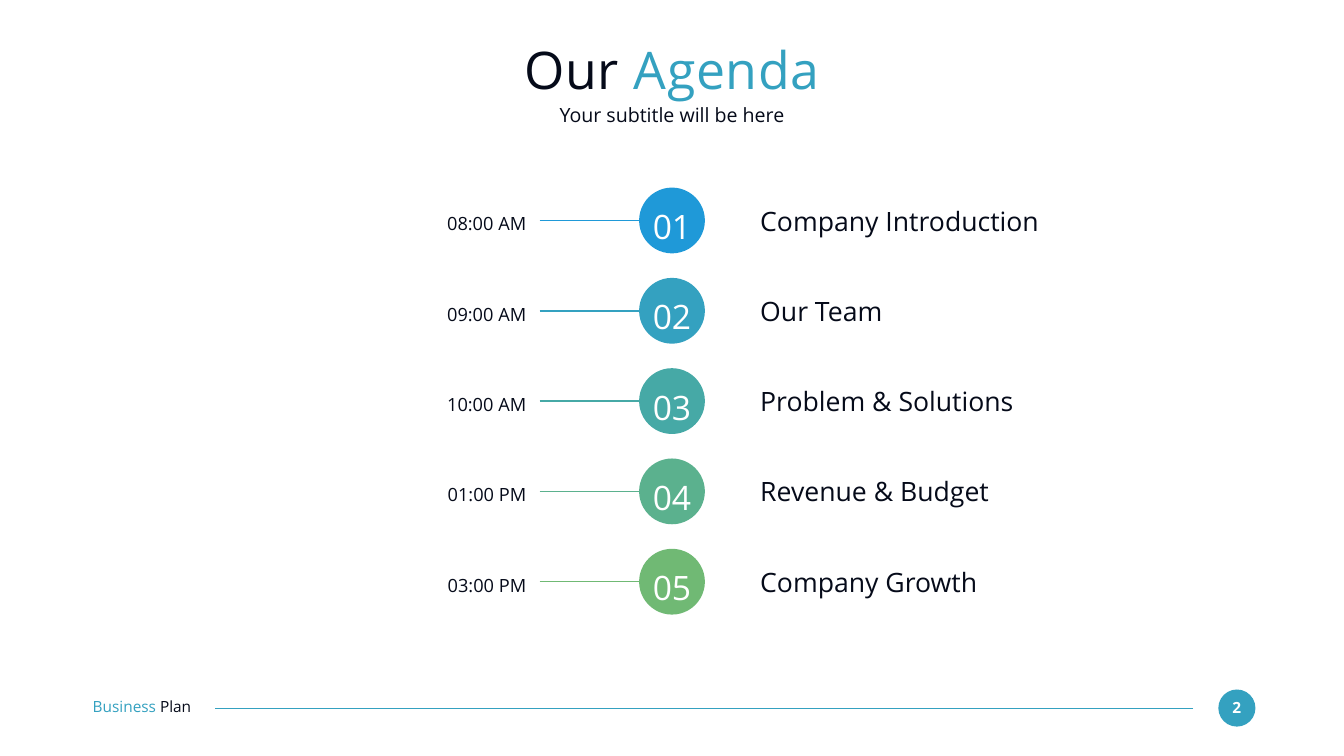
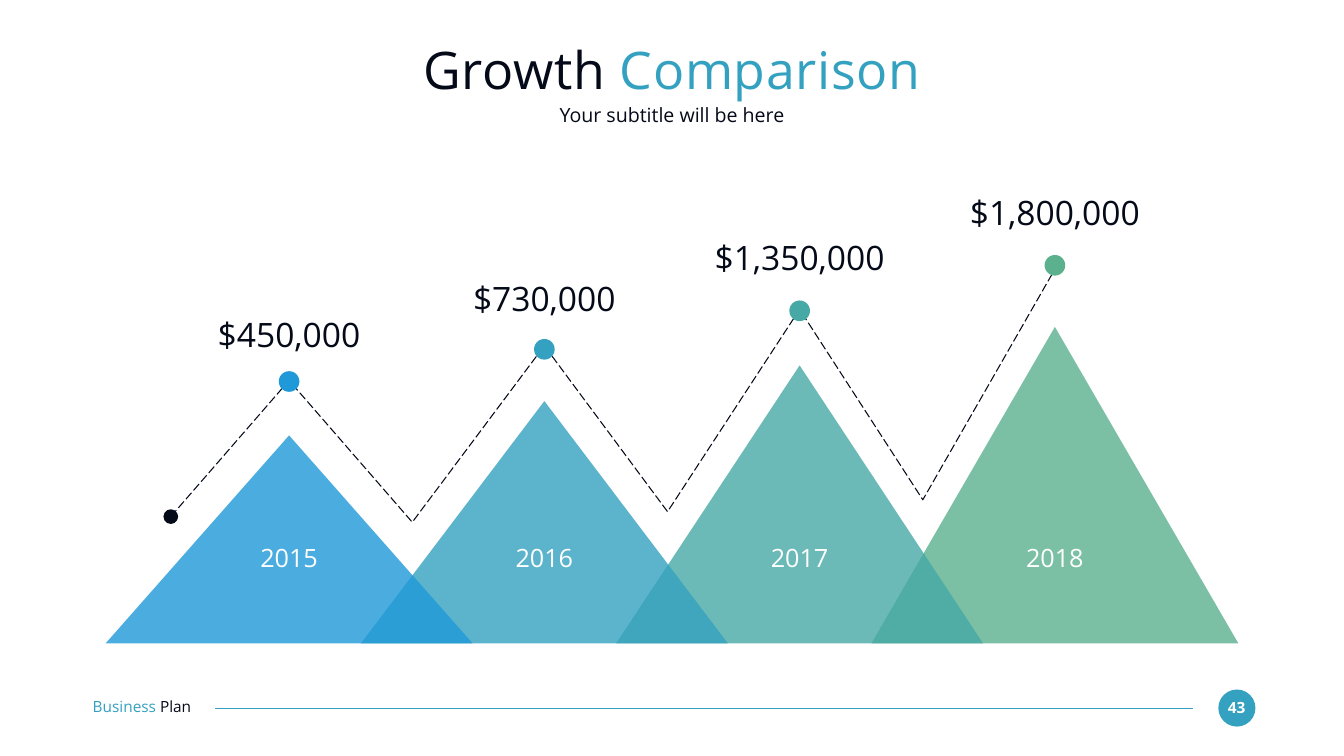
from pptx import Presentation
from pptx.dml.color import RGBColor
from pptx.enum.dml import MSO_LINE
from pptx.enum.shapes import MSO_CONNECTOR, MSO_SHAPE
from pptx.enum.text import MSO_ANCHOR, MSO_AUTO_SIZE, PP_ALIGN
from pptx.util import Pt
from lxml import etree

OVAL, PEAK = MSO_SHAPE.OVAL, MSO_SHAPE.ISOSCELES_TRIANGLE
LINE, DASH = MSO_CONNECTOR.STRAIGHT, MSO_LINE.LONG_DASH
LEFT, MID, RIGHT = PP_ALIGN.LEFT, PP_ALIGN.CENTER, PP_ALIGN.RIGHT
TOP, CENTER = MSO_ANCHOR.TOP, MSO_ANCHOR.MIDDLE
NO_FIT = MSO_AUTO_SIZE.NONE

FONT = "Open Sans"
COLORS = {
    "ink": "050A19", "white": "FFFFFF", "blue": "1F99D8", "teal": "34A1C0",
    "sea": "46A9A6", "mint": "5BB18E", "green": "70B974",
}
RAMP = ["blue", "teal", "sea", "mint", "green"]
WIDE, HIGH = 1920, 1080
TITLE_BOX = (132, 52.5, 1656, 91.5)
SUB_BOX = (132, 146, 1656, 35.5)
FOOT_BOX = (132.5, 985, 1661, 53)
AGENDA_BOX = (497, 268, 1042, 610)
PEAKS_BOX = (151, 274, 1618, 645)

ITEMS = [
    ("08:00 AM", "Company Introduction"),
    ("09:00 AM", "Our Team"),
    ("10:00 AM", "Problem & Solutions"),
    ("01:00 PM", "Revenue & Budget"),
    ("03:00 PM", "Company Growth"),
]
# Year, amount, triangle height, then heights above the base:
# dot middle, top of the amount, dashed peak
YEARS = [
    ("2015", "$450,000", 297, 374, 470, 375.5),
    ("2016", "$730,000", 346, 420, 522, 425),
    ("2017", "$1,350,000", 397, 475, 580.5, 477),
    ("2018", "$1,800,000", 452, 540, 645, 534.5),
]
DIPS = [173, 188, 205]


def rgb(name):
    return RGBColor.from_string(COLORS[name])


def fill_text(frame, parts, size, align, anchor=TOP, bold=False, space=None):
    """Write (text, colour) parts as the runs of one paragraph."""
    frame.margin_left = frame.margin_right = 0
    frame.margin_top = frame.margin_bottom = 0
    frame.word_wrap = True
    frame.auto_size = NO_FIT
    frame.vertical_anchor = anchor
    para = frame.paragraphs[0]
    para.text = parts[0][0]
    for text, _ in parts[1:]:
        para.add_run().text = text
    para.alignment = align
    para.line_spacing = space
    for run, (_, color) in zip(para.runs, parts):
        run.font.name = FONT
        run.font.size = Pt(size)
        run.font.bold = bold
        run.font.color.rgb = rgb(color)
    return para


def add_text(slide, box, parts, size, align=MID, **style):
    label = slide.shapes.add_textbox(*map(Pt, box))
    fill_text(label.text_frame, parts, size, align, **style)


def add_shape(slide, kind, box, color, alpha=None):
    shape = slide.shapes.add_shape(kind, *map(Pt, box))
    shape.shadow.inherit = False
    shape.fill.solid()
    shape.fill.fore_color.rgb = rgb(color)
    shape.line.fill.background()
    if alpha:
        tint = shape.fill._xPr.find(".//{*}srgbClr")
        etree.SubElement(tint, tint.tag.replace("srgbClr", "alpha"),
                         val=str(alpha * 1000))


def add_dot(slide, x, y, size, color):
    add_shape(slide, OVAL, (x - size / 2, y - size / 2, size, size), color)


def add_line(slide, start, end, color, width):
    line = slide.shapes.add_connector(LINE, *map(Pt, start + end))
    line.line.color.rgb = rgb(color)
    line.line.width = Pt(width)
    props = line._element.spPr
    etree.SubElement(props, props.find("{*}ln").tag[:-2] + "effectLst")


def add_head(slide, first, second):
    # Title in two colours
    title = slide.shapes.title
    title.left, title.top, title.width, title.height = map(Pt, TITLE_BOX)
    para = fill_text(title.text_frame, [(first + " ", "ink"), (second, "teal")],
                     74, MID, anchor=CENTER)
    for run in para.runs:
        run.font._element.set("spc", "100")
    # Subtitle
    add_text(slide, SUB_BOX, [("Your subtitle will be here", "ink")], 28,
             anchor=CENTER)


def add_foot(slide, box, number):
    x, y, w, h = box
    mid = y + h / 2
    # Page number in its disc
    add_dot(slide, x + w - h / 2, mid, h, "teal")
    add_text(slide, (x + w - 48, y + 12, 42.5, 26.5), [(number, "white")], 22,
             bold=True)
    # Rule and name
    add_line(slide, (x + w - 89, mid), (x + 175, mid), "teal", 1.5)
    add_text(slide, (x, y + 11.5, 186.5, 26.5),
             [("Business ", "teal"), ("Plan", "ink")], 22, LEFT)


def add_agenda(slide, box):
    x, y, w, h = box
    disc = 94
    step = (h - disc) / (len(ITEMS) - 1)
    axis = x + 463
    for i, ((time, topic), color) in enumerate(zip(ITEMS, RAMP)):
        top = y + i * step
        mid = top + disc / 2
        # Disc, its line and its number
        add_dot(slide, axis, mid, disc, color)
        add_line(slide, (x + 274, mid), (axis - disc / 2, mid), color, 2.25)
        add_text(slide, (axis - 37, top + 14.5, 74, 70),
                 [(f"{i + 1:02}", "white")], 48, space=1.2)
        # Time and topic
        add_text(slide, (x, top + 29.5, 255, 38), [(time, "ink")], 26, RIGHT,
                 space=1.2)
        add_text(slide, (x + w - 453, top + 24, 453, 46), [(topic, "ink")], 38,
                 LEFT)


def add_peaks(slide, box):
    x, y, w, h = box
    base, side = y + h, 524
    step = (w - side) / (len(YEARS) - 1)
    mids = [x + side / 2 + i * step for i in range(len(YEARS))]
    rows = list(zip(mids, RAMP, YEARS))

    # Triangles, the leftmost in front
    for mid, color, (_, _, tall, *_) in reversed(rows):
        add_shape(slide, PEAK, (mid - side / 2, base - tall, side, tall),
                  color, alpha=80)

    # Dashed path through peaks and dips
    start = (x + 93, base - 181)
    points = []
    for i, (mid, _, year) in enumerate(rows):
        points.append((mid, base - year[5]))
        if i < len(DIPS):
            points.append((mid + 176, base - DIPS[i]))
    pen = slide.shapes.build_freeform(*map(Pt, start))
    pen.add_line_segments([(Pt(px), Pt(py)) for px, py in points], close=False)
    trail = pen.convert_to_shape()
    trail.shadow.inherit = False
    trail.fill.background()
    trail.line.color.rgb = rgb("ink")
    trail.line.width = Pt(1.5)
    trail.line.dash_style = DASH
    add_dot(slide, *start, 21, "ink")

    # Years, amounts and dots
    for mid, color, (year, amount, _, dot, top, _) in rows:
        add_text(slide, (mid - 87, base - 144, 174, 44), [(year, "white")], 36)
        add_text(slide, (mid - 132.5, base - top, 265, 58),
                 [(amount, "ink")], 48)
        add_dot(slide, mid, base - dot, 29.5, color)


def add_slide(deck, number, first, second, draw, box):
    slide = deck.slides.add_slide(deck.slide_layouts[5])
    add_foot(slide, FOOT_BOX, number)
    add_head(slide, first, second)
    draw(slide, box)


def main():
    deck = Presentation()
    deck.slide_width, deck.slide_height = Pt(WIDE), Pt(HIGH)
    add_slide(deck, "2", "Our", "Agenda", add_agenda, AGENDA_BOX)
    add_slide(deck, "43", "Growth", "Comparison", add_peaks, PEAKS_BOX)
    deck.save("out.pptx")


if __name__ == "__main__":
    main()
